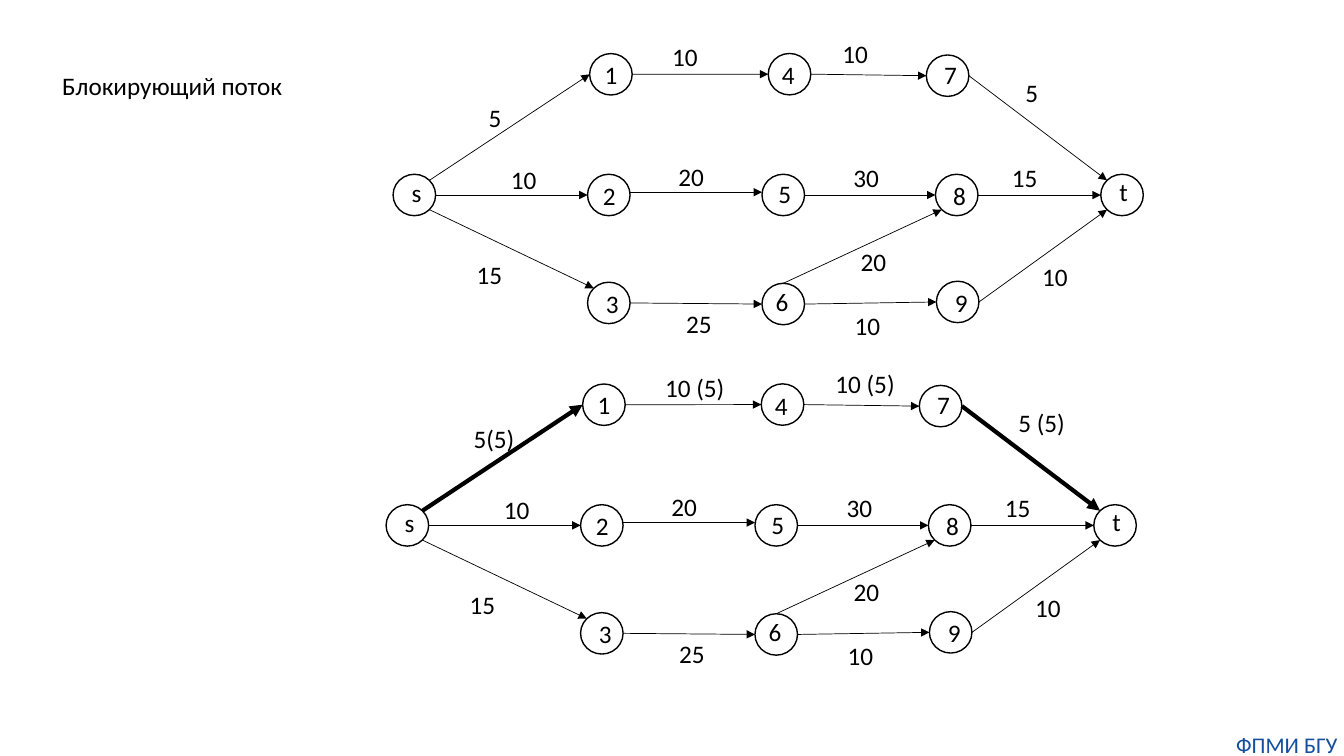
from lxml.etree import SubElement
from pptx import Presentation
from pptx.dml.color import RGBColor
from pptx.enum.shapes import MSO_CONNECTOR, MSO_SHAPE
from pptx.enum.text import MSO_AUTO_SIZE, PP_ALIGN
from pptx.oxml.ns import qn
from pptx.util import Pt

TITLE = "Блокирующий поток"
FOOTER = "ФПМИ БГУ"

# name: circle left, circle top, label shift right, label shift down
NODES = {
    "s": (280.8, 124.5, 1.5, -1.8),
    "1": (421.2, 38.3, 0, 0),
    "2": (419.7, 124.5, 0.3, 0.5),
    "3": (419.7, 201.6, 2.5, 0.5),
    "4": (548.8, 38.2, -1, 0.5),
    "5": (544.3, 124.5, 1, -0.8),
    "6": (544.3, 202.4, -1, -1.8),
    "7": (661.7, 39.3, 2, -0.8),
    "8": (668.2, 124.5, 2, 0.5),
    "9": (668.9, 200.9, 2.5, 0.5),
    "t": (786.3, 124.5, 1, -2.5),
}

# start, its side, end, its side, capacity, label left, label top, line shift down
EDGES = [
    ("s", "top right", "1", "left", "5", 342, 69.8, 0),
    ("1", "right", "4", "left", "10", 473, 26.1, 0),
    ("4", "right", "7", "left", "10", 594.7, 23.6, 0),
    ("7", "right", "t", "top left", "5", 725.3, 51.6, 0),
    ("s", "right", "2", "left", "10", 357.8, 113.6, 0),
    ("2", "right", "5", "left", "20", 477.5, 111.6, -2),
    ("5", "right", "8", "left", "30", 602.6, 112.3, 0),
    ("8", "right", "t", "left", "15", 715.7, 112.1, 0),
    ("s", "bottom right", "3", "top left", "15", 333.4, 181.6, 0),
    ("3", "right", "6", "left", "25", 483.1, 216.5, 0),
    ("6", "right", "9", "left", "10", 603.4, 218, 0),
    ("9", "right", "t", "bottom left", "10", 737.3, 183.4, 0),
    ("6", "top", "8", "bottom left", "20", 607.7, 172.1, 0),
]

# flow: label and its shift right and down; saturated: edges drawn thick
NETWORKS = [
    {"origin": (0, 0), "flow": {}, "saturated": set()},
    {
        "origin": (-5, 236),
        "flow": {
            ("s", "1"): ("5(5)", -5.8, -7),
            ("1", "4"): ("10 (5)", 0, 0),
            ("4", "7"): ("10 (5)", 0, 0),
            ("7", "t"): ("5 (5)", 0, 0),
        },
        "saturated": {("s", "1"), ("7", "t")},
    },
]

THEME = {
    "font": "Calibri",
    "ink": RGBColor(0x00, 0x00, 0x00),
    "footer": RGBColor(0x14, 0x4E, 0x9D),
    "body_size": 18,
    "footer_size": 16,
    "circle_line": 1,
    "edge_line": 0.5,
    "saturated_line": 3,
}

CIRCLE_W, CIRCLE_H = 30.4, 29.6
NODE_LABEL_W, LABEL_H = 24, 29.1
LABEL_INSETS = 14.4
GLYPH_W = {"(": 5.5, ")": 5.5, " ": 4.1}
DIGIT_W = 9.1
DIAGONAL = 0.71
SIDES = {
    "left": (-1, 0),
    "right": (1, 0),
    "top": (0, -1),
    "top left": (-DIAGONAL, -DIAGONAL),
    "top right": (DIAGONAL, -DIAGONAL),
    "bottom left": (-DIAGONAL, DIAGONAL),
    "bottom right": (DIAGONAL, DIAGONAL),
}


def add_text(slide, text, left, top, width, height, *, size=THEME["body_size"],
             color=THEME["ink"], align=PP_ALIGN.LEFT, wrap=False, inset=None):
    box = slide.shapes.add_textbox(Pt(left), Pt(top), Pt(width), Pt(height))
    frame = box.text_frame
    frame.word_wrap = wrap
    frame.auto_size = MSO_AUTO_SIZE.SHAPE_TO_FIT_TEXT
    if inset is not None:
        frame.margin_left = frame.margin_right = Pt(inset)
        frame.margin_top = frame.margin_bottom = Pt(inset)
    paragraph = frame.paragraphs[0]
    paragraph.alignment = align
    run = paragraph.add_run()
    run.text = text
    run.font.name = THEME["font"]
    run.font.size = Pt(size)
    run.font.color.rgb = color


def add_circle(slide, left, top):
    circle = slide.shapes.add_shape(
        MSO_SHAPE.OVAL, Pt(left), Pt(top), Pt(CIRCLE_W), Pt(CIRCLE_H))
    circle.shadow.inherit = False
    circle.fill.background()
    circle.line.color.rgb = THEME["ink"]
    circle.line.width = Pt(THEME["circle_line"])


def add_arrow(slide, start, end, width):
    arrow = slide.shapes.add_connector(
        MSO_CONNECTOR.STRAIGHT, *(Pt(value) for value in (*start, *end)))
    arrow.line.color.rgb = THEME["ink"]
    arrow.line.width = Pt(width)
    SubElement(arrow.line._get_or_add_ln(), qn("a:tailEnd"), type="triangle")
    SubElement(arrow._element.spPr, qn("a:effectLst"))


def rim_point(name, side, origin, shift):
    """Point on a node's circle at the given side."""
    left, top = NODES[name][:2]
    across, down = SIDES[side]
    return (origin[0] + left + CIRCLE_W / 2 * (1 + across),
            origin[1] + top + CIRCLE_H / 2 * (1 + down) + shift)


def label_width(text):
    return LABEL_INSETS + sum(GLYPH_W.get(glyph, DIGIT_W) for glyph in text)


def add_network(slide, origin, flow, saturated):
    x, y = origin
    for left, top, _, _ in NODES.values():
        add_circle(slide, x + left, y + top)
    for start, start_side, end, end_side, capacity, left, top, shift in EDGES:
        edge = (start, end)
        thickness = "saturated_line" if edge in saturated else "edge_line"
        add_arrow(slide, rim_point(start, start_side, origin, shift),
                  rim_point(end, end_side, origin, shift), THEME[thickness])
        label, right, down = flow.get(edge, (capacity, 0, 0))
        add_text(slide, label, x + left + right, y + top + down,
                 label_width(label), LABEL_H)
    for name, (left, top, right, down) in NODES.items():
        add_text(slide, name, x + left + right + (CIRCLE_W - NODE_LABEL_W) / 2,
                 y + top + down + (CIRCLE_H - LABEL_H) / 2,
                 NODE_LABEL_W, LABEL_H, align=PP_ALIGN.CENTER)


def main():
    deck = Presentation()
    deck.slide_width, deck.slide_height = Pt(960), Pt(540)
    slide = deck.slides.add_slide(deck.slide_layouts[6])
    add_text(slide, FOOTER, 878.4, 522, 81.6, 19.4, size=THEME["footer_size"],
             color=THEME["footer"], align=PP_ALIGN.CENTER, wrap=True, inset=0)
    add_text(slide, TITLE, 37.3, 47, 173.5, LABEL_H)
    for network in NETWORKS:
        add_network(slide, **network)
    deck.save("out.pptx")


if __name__ == "__main__":
    main()
